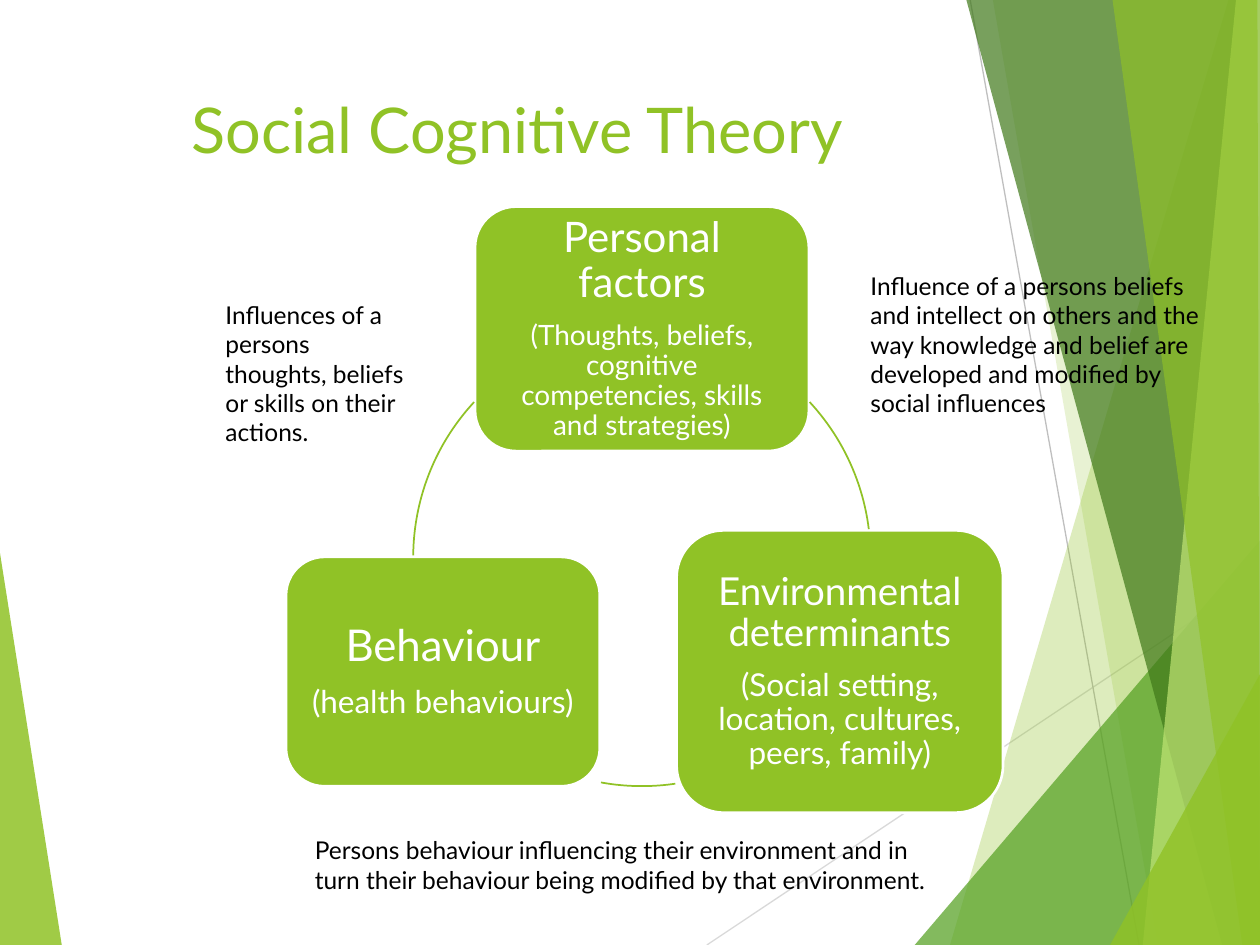
from lxml import etree
from pptx import Presentation
from pptx.dml.color import RGBColor
from pptx.enum.shapes import MSO_CONNECTOR, MSO_SHAPE
from pptx.enum.text import MSO_ANCHOR, MSO_AUTO_SIZE, PP_ALIGN
from pptx.oxml.ns import qn
from pptx.util import Inches, Pt

FONT = "Lato"
GREEN = RGBColor(0x90, 0xC2, 0x26)
MID_GREEN = RGBColor(0x54, 0xA0, 0x21)
DARK_GREEN = RGBColor(0x3F, 0x78, 0x19)
PALE_GREEN = RGBColor(0xC0, 0xE4, 0x74)
LIGHT_GREY = RGBColor(0xD9, 0xD9, 0xD9)
GREY = RGBColor(0xBF, 0xBF, 0xBF)
WHITE = RGBColor(0xFF, 0xFF, 0xFF)
BLACK = RGBColor(0, 0, 0)

LEFT_FACET = ([(0, 4.39), (0.49, 7.5), (0, 7.5)], GREEN, 85)
RIGHT_FACETS = [
    ([(2.25, 0), (0.04, 7.5), (2.5, 7.5), (2.5, 0)], GREEN, 30),
    ([(0.38, 0), (1.69, 7.5), (2.5, 7.5), (2.5, 0)], GREEN, 20),
    ([(-0.24, 7.5), (2.5, 4.29), (2.5, 7.5)], MID_GREEN, 72),
    ([(0.17, 0), (2.2, 7.5), (2.5, 7.5), (2.5, 0)], DARK_GREEN, 70),
    ([(2.31, 0), (1.57, 7.5), (2.5, 7.5), (2.5, 0)], PALE_GREEN, 70),
    ([(1.33, 0), (2.36, 7.5), (2.5, 7.5), (2.48, 0)], GREEN, 65),
    ([(1.31, 7.5), (2.5, 5.35), (2.5, 7.5)], GREEN, 80),
]
RAYS = [((-1.89, 7.5), (2.5, 4.57), LIGHT_GREY), ((0.2, 0), (1.54, 7.5), GREY)]

FACTORS = [
    ((1.5, 0, 2.65, 1.94), "Personal factors", 24,
     "(Thoughts, beliefs, cognitive competencies, skills and strategies)", 16),
    ((3.1, 2.57, 2.59, 2.24), "Environmental determinants", 22,
     "(Social setting, location, cultures, peers, family)", 18),
    ((0, 2.78, 2.49, 1.82), "Behaviour", 25, "(health behaviours)", 18),
]
ARC_ANGLES = [(317.2, 352.9), (81.6, 100.3), (180.5, 222.8)]

NOTES = [
    ((1.69, 2.33, 1.65, 1.28),
     "Influences of a persons thoughts, beliefs or skills on their actions."),
    ((6.81, 2.1, 2.83, 1.28),
     "Influence of a persons beliefs and intellect on others and the way "
     "knowledge and belief are developed and modified by social influences"),
    ((2.4, 6.58, 5.28, 0.57),
     "Persons behaviour influencing their environment and in turn their "
     "behaviour being modified by that environment."),
]


def write_text(paragraph, text, size, color, align=PP_ALIGN.LEFT, line_spacing=1.0, space_after=0):
    paragraph.alignment = align
    paragraph.line_spacing = line_spacing
    paragraph.space_before = Pt(0)
    paragraph.space_after = Pt(space_after)
    run = paragraph.add_run()
    run.text = text
    run.font.name = FONT
    run.font.size = Pt(size)
    run.font.color.rgb = color


def add_facet(slide, left, top, points, color, opacity):
    corners = [(Inches(left + x), Inches(top + y)) for x, y in points]
    builder = slide.shapes.build_freeform(*corners[0])
    builder.add_line_segments(corners[1:], close=True)
    shape = builder.convert_to_shape()
    shape.shadow.inherit = False
    shape.line.fill.background()
    shape.fill.solid()
    shape.fill.fore_color.rgb = color
    color_element = shape.fill._xPr.find(qn("a:solidFill"))[0]
    etree.SubElement(color_element, qn("a:alpha"), val=str(opacity * 1000))


def add_ray(slide, left, top, start, end, color):
    ray = slide.shapes.add_connector(
        MSO_CONNECTOR.STRAIGHT,
        Inches(left + start[0]), Inches(top + start[1]),
        Inches(left + end[0]), Inches(top + end[1]))
    ray.line.color.rgb = color
    ray.line.width = Pt(0.75)
    etree.SubElement(ray._element.spPr, qn("a:effectLst"))


def add_backdrop(slide, left, top):
    add_facet(slide, 0, top, *LEFT_FACET)
    for start, end, color in RAYS:
        add_ray(slide, left, top, start, end, color)
    for points, color, opacity in RIGHT_FACETS:
        add_facet(slide, left, top, points, color, opacity)


def add_title(slide, left, top, width, height):
    title = slide.shapes.title
    title.left, title.top = Inches(left), Inches(top)
    title.width, title.height = Inches(width), Inches(height)
    frame = title.text_frame
    frame.word_wrap = True
    frame.auto_size = MSO_AUTO_SIZE.NONE
    frame.vertical_anchor = MSO_ANCHOR.TOP
    frame.margin_left = Inches(0.85)
    write_text(frame.paragraphs[0], "Social Cognitive Theory", 36, GREEN)


def add_factor(slide, left, top, width, height, name, name_size, detail, detail_size):
    shape = slide.shapes.add_shape(
        MSO_SHAPE.ROUNDED_RECTANGLE,
        Inches(left), Inches(top), Inches(width), Inches(height))
    shape.shadow.inherit = False
    shape.fill.solid()
    shape.fill.fore_color.rgb = GREEN
    shape.line.color.rgb = WHITE
    shape.line.width = Pt(1.5)
    frame = shape.text_frame
    frame.word_wrap = True
    frame.vertical_anchor = MSO_ANCHOR.MIDDLE
    frame.margin_left = frame.margin_right = Inches(0.1)
    frame.margin_top = frame.margin_bottom = Inches(0.1)
    lines = [(frame.paragraphs[0], name, name_size),
             (frame.add_paragraph(), detail, detail_size)]
    for paragraph, text, size in lines:
        write_text(paragraph, text, size, WHITE, align=PP_ALIGN.CENTER,
                   line_spacing=0.9, space_after=round(size * 0.35, 1))


def add_arc(slide, left, top, diameter, start, end):
    arc = slide.shapes.add_shape(
        MSO_SHAPE.ARC, Inches(left), Inches(top), Inches(diameter), Inches(diameter))
    arc.adjustments[0] = start * 0.6
    arc.adjustments[1] = end * 0.6
    arc.shadow.inherit = False
    arc.fill.background()
    arc.line.color.rgb = GREEN
    arc.line.width = Pt(1)


def add_cycle(slide, left, top):
    for (x, y, width, height), *texts in FACTORS:
        add_factor(slide, left + x, top + y, width, height, *texts)
    for start, end in ARC_ANGLES:
        add_arc(slide, left + 1.01, top + 0.97, 3.63, start, end)


def add_note(slide, left, top, width, height, text):
    box = slide.shapes.add_textbox(Inches(left), Inches(top), Inches(width), Inches(height))
    box.text_frame.word_wrap = True
    box.text_frame.auto_size = MSO_AUTO_SIZE.SHAPE_TO_FIT_TEXT
    write_text(box.text_frame.paragraphs[0], text, 14, BLACK)


def main():
    presentation = Presentation()
    presentation.slide_width = Inches(10)
    presentation.slide_height = Inches(7.5)
    slide = presentation.slides.add_slide(presentation.slide_layouts[5])
    add_backdrop(slide, 7.5, 0)
    add_title(slide, 0.67, 0.67, 6.94, 1.44)
    add_cycle(slide, 2.27, 1.64)
    for box, text in NOTES:
        add_note(slide, *box, text)
    presentation.save("out.pptx")


if __name__ == "__main__":
    main()
